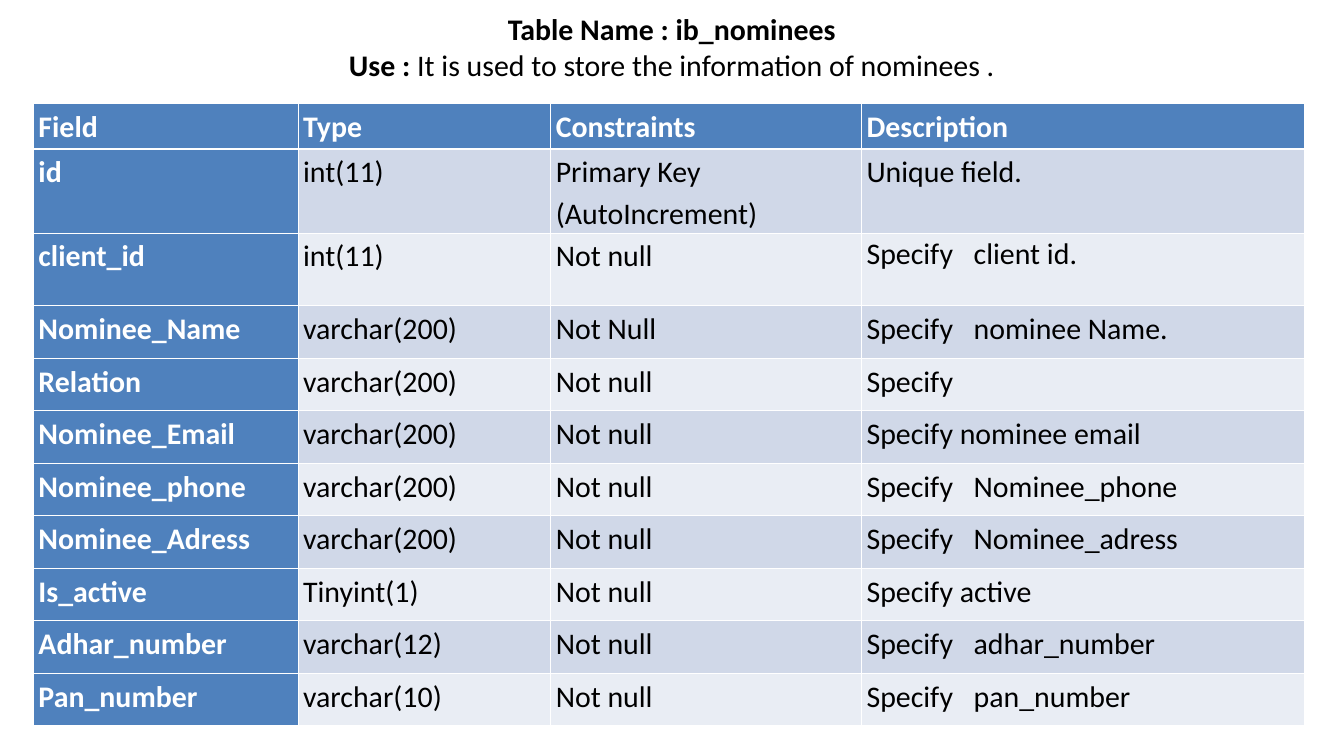
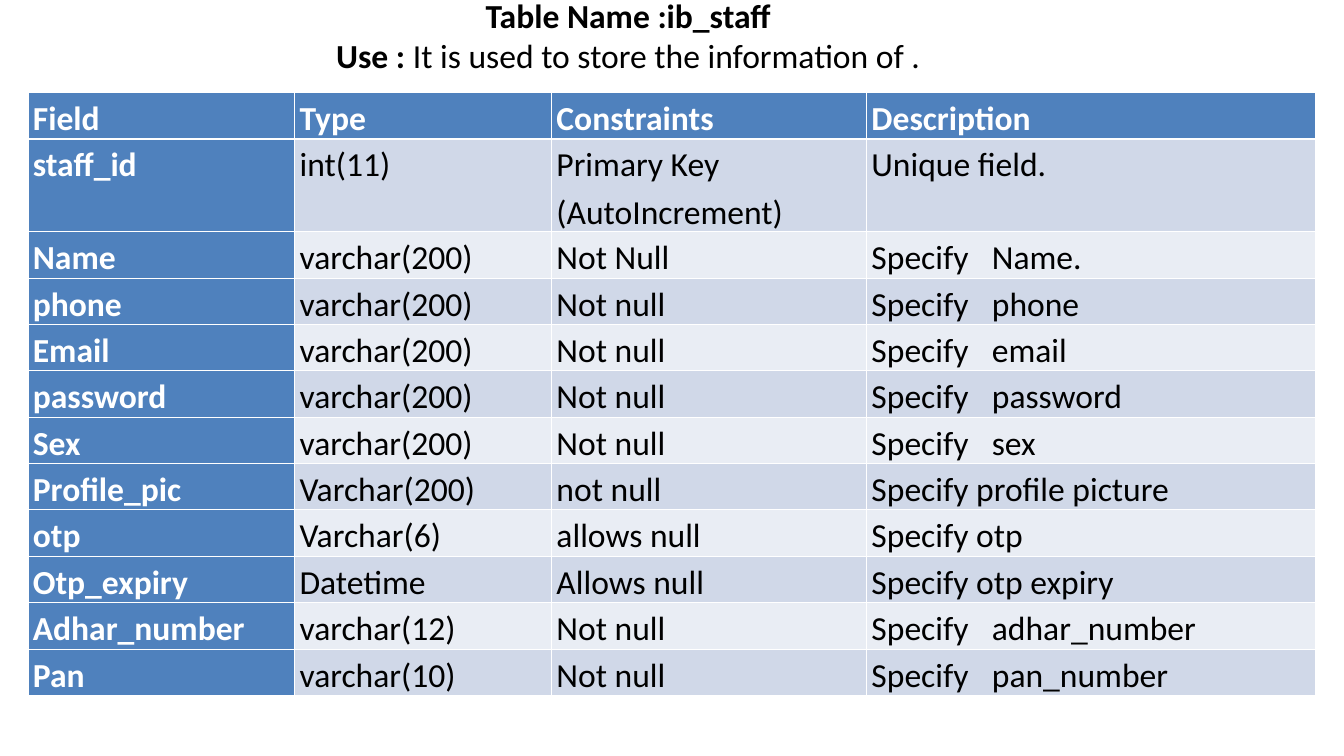
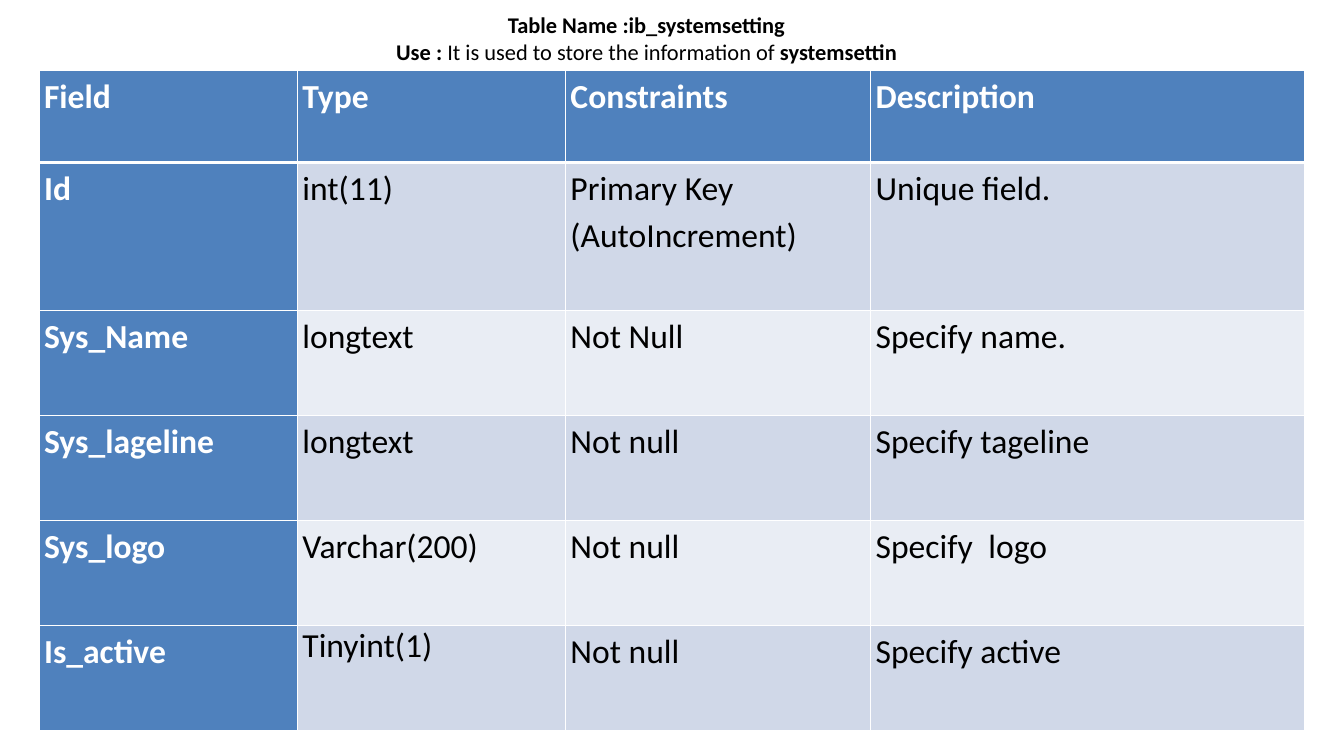
from dataclasses import dataclass, field

from lxml import etree
from pptx import Presentation
from pptx.dml.color import RGBColor
from pptx.enum.text import MSO_ANCHOR, PP_ALIGN
from pptx.oxml.ns import qn
from pptx.util import Emu, Pt

TOP = MSO_ANCHOR.TOP
CENTER = PP_ALIGN.CENTER

# Shared look
FONT = "Calibri"
WHITE, BLACK = "FFFFFF", "000000"
HEAD_FILL = "4F81BD"
BAND_FILLS = ("D0D8E8", "E9EDF4")
LINE_SPACING = 1.15
CELL_INSET = 7
THIN, THICK = 1, 3
HEADINGS = ("Field", "Type", "Constraints", "Description")
KEY = "Primary Key (AutoIncrement)"


@dataclass(frozen=True)
class Span:
    text: str
    bold: bool = False


@dataclass(frozen=True)
class Frame:
    left: int
    top: int
    width: int
    height: int


@dataclass(frozen=True)
class TableSheet:
    """One slide describing a database table."""
    title: str
    use: tuple[Span, ...]
    title_frame: Frame
    title_size: int
    left: int
    top: int
    columns: tuple[int, ...]
    heights: tuple[int, ...]
    size: int
    tab: int
    rows: tuple[tuple[str, ...], ...]
    spacings: dict[tuple[int, int], float] = field(default_factory=dict)


def px(length: int) -> Emu:
    return Emu(length * 9525)


def color(value: str) -> RGBColor:
    return RGBColor.from_string(value)


def add_span(para, span: Span, size: int, ink: str) -> None:
    run = para.add_run()
    run.text = span.text
    run.font.name = FONT
    run.font.size = Pt(size)
    run.font.bold = span.bold
    run.font.color.rgb = color(ink)


def add_tab_stop(para, position: int) -> None:
    stops = etree.SubElement(para._p.get_or_add_pPr(), qn("a:tabLst"))
    etree.SubElement(stops, qn("a:tab"), pos=str(px(position)), algn="l")


def add_borders(cell, top: int, bottom: int) -> None:
    properties = cell._tc.get_or_add_tcPr()
    for side, width in (("L", THIN), ("R", THIN), ("T", top), ("B", bottom)):
        line = etree.SubElement(properties, qn(f"a:ln{side}"), w=str(Pt(width)))
        fill = etree.SubElement(line, qn("a:solidFill"))
        etree.SubElement(fill, qn("a:srgbClr"), val=WHITE)


def add_title(page, sheet: TableSheet) -> None:
    frame = sheet.title_frame
    box = page.shapes.add_textbox(
        px(frame.left), px(frame.top), px(frame.width), px(frame.height))
    text = box.text_frame
    text.word_wrap = True
    text.vertical_anchor = TOP
    lines = ((Span(sheet.title, True),), (Span("Use : ", True), *sheet.use))
    for index, spans in enumerate(lines):
        para = text.add_paragraph() if index else text.paragraphs[0]
        para.alignment = CENTER
        for span in spans:
            add_span(para, span, sheet.title_size, BLACK)


def fill_cell(cell, text: str, row: int, column: int, sheet: TableSheet) -> None:
    heading = row == 0 or column == 0
    add_borders(cell, THICK if row == 1 else THIN, THICK if row == 0 else THIN)
    cell.fill.solid()
    cell.fill.fore_color.rgb = color(HEAD_FILL if heading else BAND_FILLS[(row - 1) % 2])
    cell.margin_left = cell.margin_right = px(CELL_INSET)
    cell.margin_top = cell.margin_bottom = 0
    para = cell.text_frame.paragraphs[0]
    para.line_spacing = sheet.spacings.get((row, column), LINE_SPACING)
    if "\t" in text:
        add_tab_stop(para, sheet.tab)
    add_span(para, Span(text, heading), sheet.size, WHITE if heading else BLACK)


def add_field_table(page, sheet: TableSheet) -> None:
    rows = (HEADINGS, *sheet.rows)
    table = page.shapes.add_table(
        len(rows), len(HEADINGS), px(sheet.left), px(sheet.top),
        px(sum(sheet.columns)), px(sum(sheet.heights))).table
    for column, width in zip(table.columns, sheet.columns):
        column.width = px(width)
    for line, height in zip(table.rows, sheet.heights):
        line.height = px(height)
    for row, texts in enumerate(rows):
        for column, text in enumerate(texts):
            fill_cell(table.cell(row, column), text, row, column, sheet)


# Slide contents; a tab sets off the words after "Specify"
SHEETS = (
    TableSheet(
        title="Table Name : ib_nominees",
        use=(Span("It is used to store the information of nominees ."),),
        title_frame=Frame(474, 11, 972, 142), title_size=32,
        left=48, top=148, columns=(378, 361, 444, 633),
        heights=(65, 106, 104) + (75,) * 8, size=32, tab=153,
        rows=(
            ("id", "int(11)", KEY, "Unique field."),
            ("client_id", "int(11)", "Not null", "Specify\tclient id."),
            ("Nominee_Name", "varchar(200)", "Not Null", "Specify\tnominee Name."),
            ("Relation", "varchar(200)", "Not null", "Specify"),
            ("Nominee_Email", "varchar(200)", "Not null", "Specify nominee email"),
            ("Nominee_phone", "varchar(200)", "Not null", "Specify\tNominee_phone"),
            ("Nominee_Adress", "varchar(200)", "Not null", "Specify\tNominee_adress"),
            ("Is_active", "Tinyint(1)", "Not null", "Specify active"),
            ("Adhar_number", "varchar(12)", "Not null", "Specify\tadhar_number"),
            ("Pan_number", "varchar(10)", "Not null", "Specify\tpan_number"),
        ),
        spacings={(2, 3): 1.07},
    ),
    TableSheet(
        title="Table Name :ib_staff",
        use=(Span("It is used to store the information of ."),),
        title_frame=Frame(456, -12, 883, 156), title_size=36,
        left=40, top=132, columns=(381, 367, 450, 641),
        heights=(63, 130) + (63,) * 10, size=36, tab=172,
        rows=(
            ("staff_id", "int(11)", KEY, "Unique field."),
            ("Name", "varchar(200)", "Not Null", "Specify\tName."),
            ("phone", "varchar(200)", "Not null", "Specify\tphone"),
            ("Email", "varchar(200)", "Not null", "Specify\temail"),
            ("password", "varchar(200)", "Not null", "Specify\tpassword"),
            ("Sex", "varchar(200)", "Not null", "Specify\tsex"),
            ("Profile_pic", "Varchar(200)", "not null", "Specify profile picture"),
            ("otp", "Varchar(6)", "allows null", "Specify otp"),
            ("Otp_expiry", "Datetime", "Allows null", "Specify otp expiry"),
            ("Adhar_number", "varchar(12)", "Not null", "Specify\tadhar_number"),
            ("Pan", "varchar(10)", "Not null", "Specify\tpan_number"),
        ),
    ),
    TableSheet(
        title="Table Name :ib_systemsetting",
        use=(Span("It is used to store the information of "), Span("systemsettin", True)),
        title_frame=Frame(552, 11, 743, 126), title_size=24,
        left=56, top=100, columns=(369, 383, 436, 620),
        heights=(132, 212) + (150,) * 4, size=36, tab=161,
        rows=(
            ("Id", "int(11)", KEY, "Unique field."),
            ("Sys_Name", "longtext", "Not Null", "Specify name."),
            ("Sys_lageline", "longtext", "Not null", "Specify tageline"),
            ("Sys_logo", "Varchar(200)", "Not null", "Specify\tlogo"),
            ("Is_active", "Tinyint(1)", "Not null", "Specify active"),
        ),
        spacings={(5, 1): 1.0},
    ),
)


def main() -> None:
    deck = Presentation()
    deck.slide_width, deck.slide_height = px(1920), px(1080)
    blank = deck.slide_layouts[6]
    for sheet in SHEETS:
        page = deck.slides.add_slide(blank)
        add_field_table(page, sheet)
        add_title(page, sheet)
    deck.save("out.pptx")


if __name__ == "__main__":
    main()
